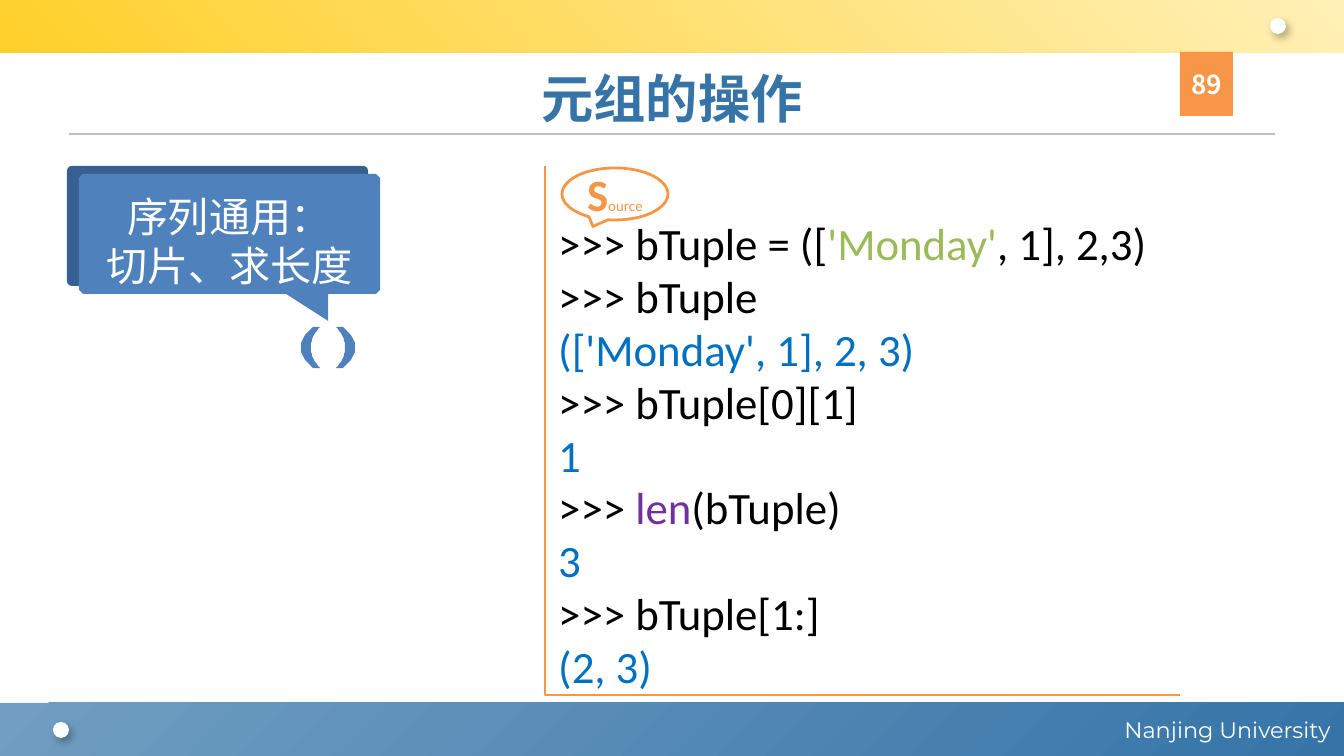
"""Build the slide on tuple operations."""
import dataclasses
import math
import typing

import lxml.etree
import pptx
import pptx.dml.color
import pptx.enum.dml
import pptx.enum.shapes
import pptx.enum.text
import pptx.oxml.ns
import pptx.util

UNIT = 914400 / 134.4
KIND = pptx.enum.shapes.MSO_SHAPE
SIDE = pptx.enum.text.PP_ALIGN
MID = pptx.enum.text.MSO_ANCHOR.MIDDLE
TOP = pptx.enum.text.MSO_ANCHOR.TOP
CJK, LATIN = "Noto Sans CJK SC", "Calibri"
WHITE, BLACK, BLUE = "FFFFFF", "000000", "0070C0"
ORANGE, STEEL, TITLE = "F79646", "4F81BD", "3674A8"
GREEN, PURPLE, NAVY, GREY = "9BBB59", "7030A0", "376092", "BFBFBF"

Point = tuple[float, float]


@dataclasses.dataclass
class Bit:
    text: str
    size: int = 24
    color: str = BLACK
    font: str = LATIN
    bold: bool = False


@dataclasses.dataclass
class Box:
    left: int
    top: int
    width: int
    height: int
    kind: typing.Any = KIND.RECTANGLE


@dataclasses.dataclass
class Shade:
    alpha: int
    blur: float
    dist: float
    angle: int


@dataclasses.dataclass
class Band:
    box: Box
    start: str
    end: str
    angle: int


BANDS = [
    Band(Box(0, 703, 1344, 53), "719EC2", TITLE, 315),
    Band(Box(0, 0, 1344, 53), "FFD02A", "FFF0B6", 45),
]
DOTS = [Box(1270, 18, 16, 16, KIND.OVAL), Box(53, 722, 16, 16, KIND.OVAL)]
CODE = [
    [Bit(">>> bTuple = (["), Bit("'Monday'", color=GREEN), Bit(", 1], 2,3)")],
    [Bit(">>> bTuple")],
    [Bit("(['Monday', 1], 2, 3)", color=BLUE)],
    [Bit(">>> bTuple[0][1]")],
    [Bit("1", color=BLUE)],
    [Bit(">>> "), Bit("len", color=PURPLE), Bit("(bTuple)")],
    [Bit("3", color=BLUE)],
    [Bit(">>> bTuple[1:]")],
    [Bit("(2, 3)", color=BLUE)],
]
NOTE = [[Bit(text, 22, WHITE, CJK)] for text in ("序列通用：", "切片、求长度")]


def px(size: float) -> int:
    """Turn px into EMU."""
    return round(size * UNIT)


def rgb(code: str) -> pptx.dml.color.RGBColor:
    """Turn a hex string into a colour."""
    return pptx.dml.color.RGBColor.from_string(code)


def apply(item: typing.Any, form: dict[str, typing.Any]) -> None:
    """Set each attribute named in a dict."""
    for name, value in form.items():
        setattr(item, name, value)


def paint(shape: typing.Any, fill: str = "", line: str = "", width: float = 1) -> None:
    """Give a shape a flat fill and line, or none."""
    shape.shadow.inherit = False
    if fill:
        shape.fill.solid()
        shape.fill.fore_color.rgb = rgb(fill)
    else:
        shape.fill.background()
    if line:
        shape.line.color.rgb = rgb(line)
        shape.line.width = pptx.util.Pt(width)
    else:
        shape.line.fill.background()


def draw(shapes: typing.Any, box: Box, fill: str = "", line: str = "", width: float = 1) -> typing.Any:
    """Add a preset shape."""
    shape = shapes.add_shape(box.kind, px(box.left), px(box.top), px(box.width), px(box.height))
    paint(shape, fill, line, width)
    return shape


def trace(shapes: typing.Any, points: list[Point], close: bool = True) -> typing.Any:
    """Add an outline through px points."""
    pen = shapes.build_freeform(*points[0], scale=UNIT)
    pen.add_line_segments(points[1:], close=close)
    return pen.convert_to_shape()


def write(shape: typing.Any, rows: list[list[Bit]], align: typing.Any = SIDE.CENTER,
          pitch: float = 0, **frame: typing.Any) -> None:
    """Fill a shape with rows of styled runs."""
    body = shape.text_frame
    apply(body, {"word_wrap": True, "vertical_anchor": MID,
                 "auto_size": pptx.enum.text.MSO_AUTO_SIZE.NONE, **frame})
    for i, row in enumerate(rows):
        para = body.add_paragraph() if i else body.paragraphs[0]
        para.alignment = align
        if pitch:
            para.line_spacing = pptx.util.Pt(pitch)
        for bit in row:
            run = para.add_run()
            run.text = bit.text
            apply(run.font, {"size": pptx.util.Pt(bit.size), "name": bit.font, "bold": bit.bold})
            run.font.color.rgb = rgb(bit.color)
            east = lxml.etree.SubElement(run._r.get_or_add_rPr(), pptx.oxml.ns.qn("a:ea"))
            east.set("typeface", bit.font)


def cast(shape: typing.Any, shade: Shade) -> None:
    """Give a shape an outer shadow."""
    qn, pt = pptx.oxml.ns.qn, pptx.util.Pt
    root = shape._element.spPr.find(qn("a:effectLst"))
    outer = lxml.etree.SubElement(root, qn("a:outerShdw"), blurRad=str(pt(shade.blur)),
                                  dist=str(pt(shade.dist)), dir=str(shade.angle * 60000),
                                  algn="ctr", rotWithShape="0")
    tint = lxml.etree.SubElement(outer, qn("a:srgbClr"), val=BLACK)
    lxml.etree.SubElement(tint, qn("a:alpha"), val=str(shade.alpha * 1000))


def blend(shapes: typing.Any, band: Band) -> typing.Any:
    """Add a bar with a two-colour gradient."""
    shape = draw(shapes, band.box)
    shape.fill.gradient()
    shape.fill.gradient_angle = band.angle
    for stop, place, color in zip(shape.fill.gradient_stops, (0, 1), (band.start, band.end)):
        stop.position = place
        stop.color.rgb = rgb(color)
    return shape


def arc(x: float, y: float, size: int, start: int) -> list[Point]:
    """List the points of a quarter turn."""
    turns = [math.radians(start + step) for step in range(0, 91, 15)]
    return [(x + size * math.cos(t), y + size * math.sin(t)) for t in turns]


def bubble(box: Box, size: int, tail: list[Point]) -> list[Point]:
    """List the points of a rounded box with a tail below."""
    left, top = box.left + size, box.top + size
    right, low = box.left + box.width - size, box.top + box.height - size
    return [*arc(left, top, size, 180), *arc(right, top, size, 270),
            *arc(right, low, size, 0), *tail, *arc(left, low, size, 90)]


def curve(sign: int) -> list[Point]:
    """List the points of one bracket, left (-1) or right (1)."""
    mid, high, half = 328, 347.5, 20.5
    steps = [step / 10 for step in range(-10, 11)]
    outer = [(mid + sign * (27 - 12 * t * t), high + half * t) for t in steps]
    inner = [(mid + sign * (17 - 9 * t * t), high + half * t) for t in steps]
    return outer + inner[::-1]


def main() -> None:
    """Build and save the slide."""
    deck = pptx.Presentation()
    apply(deck, {"slide_width": px(1344), "slide_height": px(756)})
    slide = deck.slides.add_slide(deck.slide_layouts[5])
    shapes = slide.shapes

    foot, _ = [blend(shapes, band) for band in BANDS]
    cast(foot, Shade(38, 3.1, 1.6, 90))
    write(foot, [[Bit("Nanjing University", 12, WHITE, "Montserrat")]], SIDE.RIGHT)
    for dot in DOTS:
        cast(draw(shapes, dot, WHITE), Shade(30, 4.5, 2.6, 53))

    rule = shapes.add_connector(pptx.enum.shapes.MSO_CONNECTOR.STRAIGHT,
                                px(69), px(134), px(1275), px(134))
    rule.line.color.rgb = rgb(GREY)
    rule.line.width = pptx.util.Pt(1)
    lxml.etree.SubElement(rule._element.spPr, pptx.oxml.ns.qn("a:effectLst"))

    title = shapes.title
    apply(title, {"left": px(67), "top": px(61), "width": px(1210), "height": px(74)})
    write(title, [[Bit("元组的操作", 28, TITLE, CJK, True)]])

    slim = {"margin_left": 0, "margin_right": 0}
    page = draw(shapes, Box(1180, 52, 53, 64), ORANGE)
    write(page, [[Bit("89", 14, WHITE, CJK, True)]], **slim)

    code = trace(shapes, [(545, 166), (545, 695), (1180, 695)], close=False)
    paint(code, line=ORANGE, width=0.75)
    write(code, CODE, SIDE.LEFT, 28.3, vertical_anchor=TOP, margin_top=px(51), margin_bottom=0)
    mark = draw(shapes, Box(562, 168, 106, 52, KIND.OVAL_CALLOUT), WHITE, ORANGE, 1.5)
    write(mark, [[Bit("S", 24, ORANGE, bold=True), Bit("ource", 8, ORANGE)]], **slim)

    back = draw(shapes, Box(67, 166, 301, 120, KIND.ROUNDED_RECTANGLE), NAVY)
    back.adjustments[0] = 0.04
    tail = [(328, 294), (328, 321), (286, 294)]
    note = trace(shapes, bubble(Box(79, 174, 301, 120), 6, tail))
    paint(note, STEEL)
    write(note, NOTE, pitch=26.4, margin_top=px(7), margin_bottom=px(21))
    for sign in (-1, 1):
        paint(trace(shapes, curve(sign)), STEEL)

    deck.save("out.pptx")


if __name__ == "__main__":
    main()
